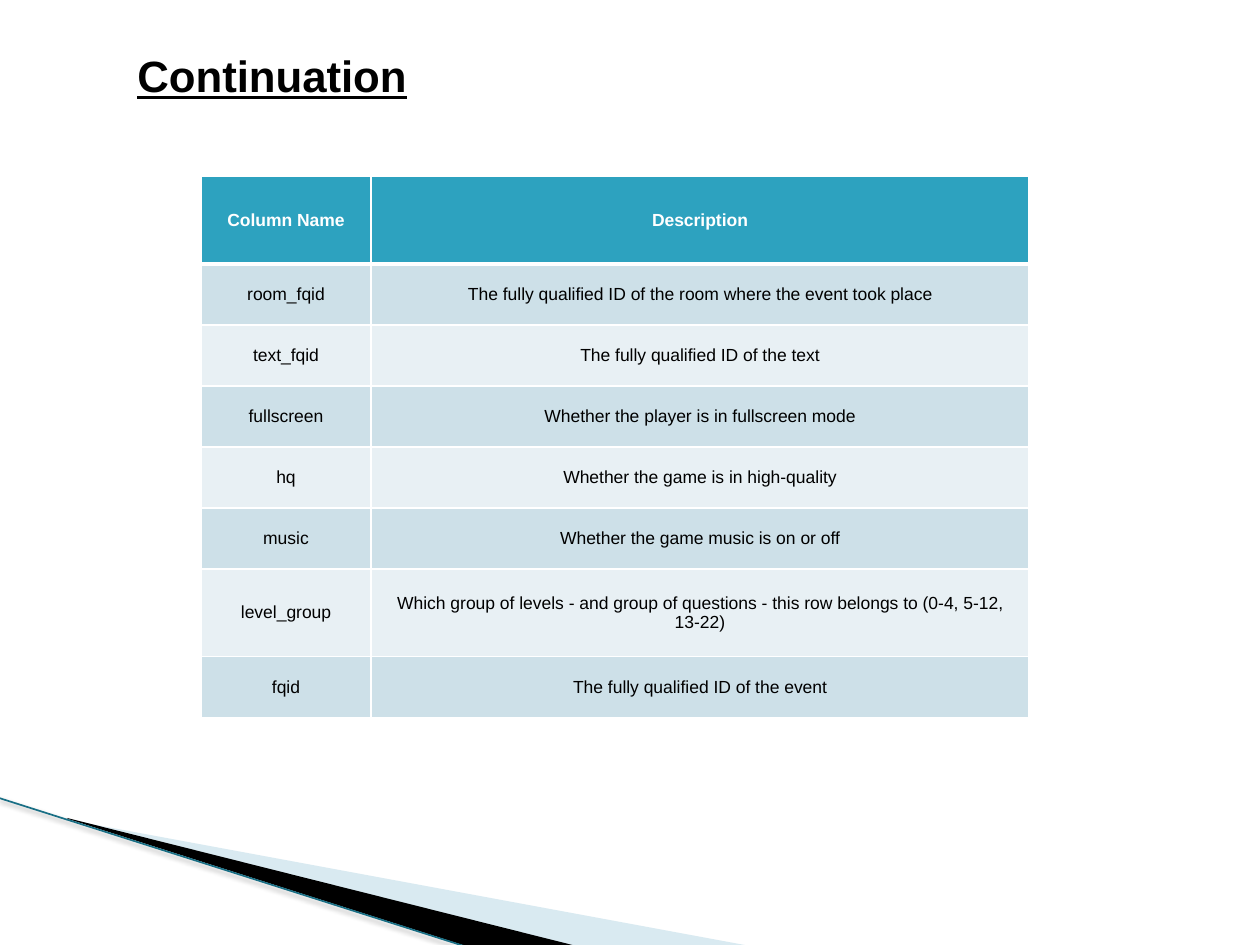
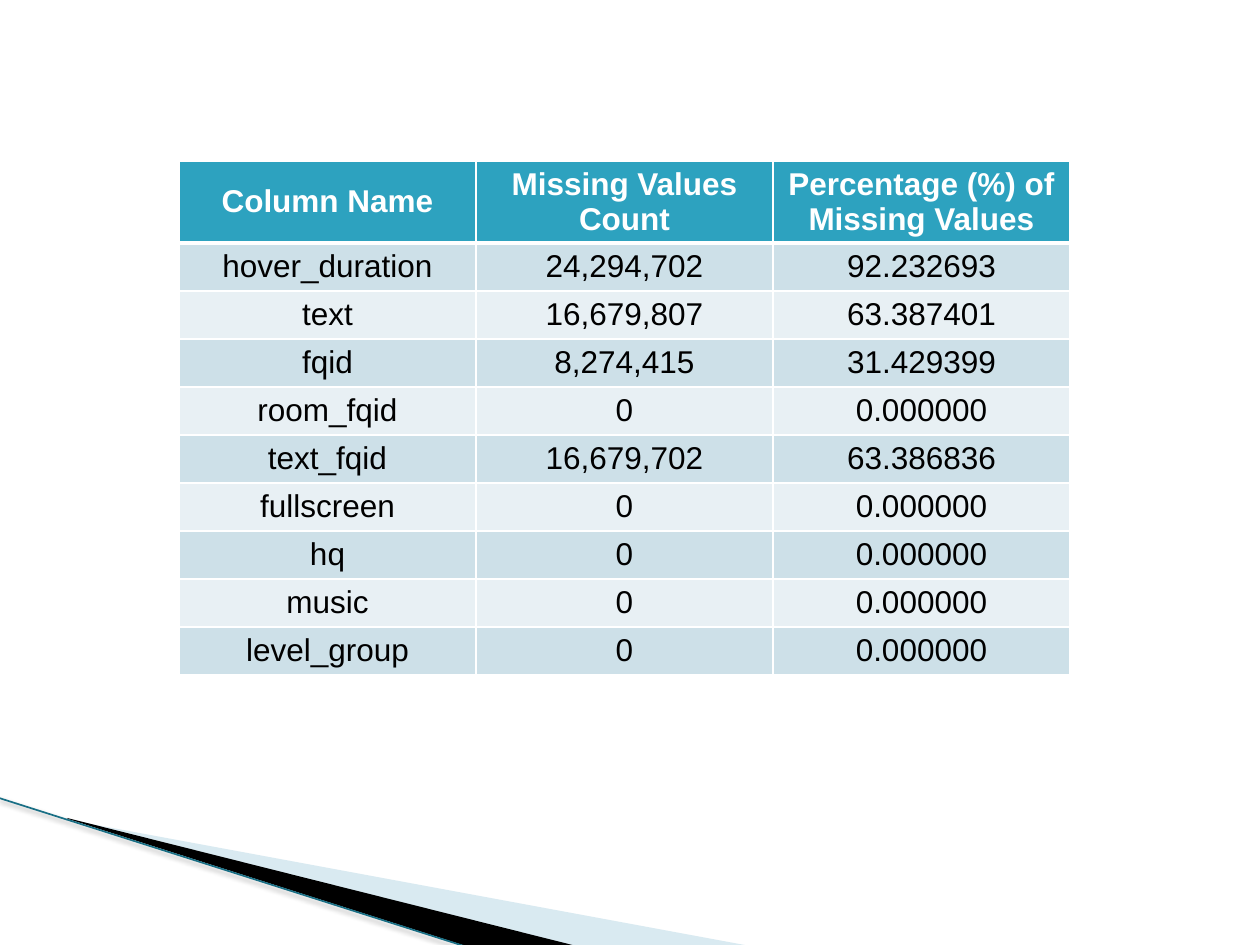
from dataclasses import dataclass

from lxml.etree import SubElement
from pptx import Presentation
from pptx.dml.color import RGBColor
from pptx.enum.shapes import MSO_CONNECTOR as CONN
from pptx.enum.text import MSO_ANCHOR as ANCHOR, PP_ALIGN as ALIGN
from pptx.oxml.ns import qn
from pptx.util import Emu, Pt

# Content
TITLE = "Continuation"
DESCRIPTIONS = [
    ("Column Name", "Description"),
    ("room_fqid", "The fully qualified ID of the room where the event took place"),
    ("text_fqid", "The fully qualified ID of the text"),
    ("fullscreen", "Whether the player is in fullscreen mode"),
    ("hq", "Whether the game is in high-quality"),
    ("music", "Whether the game music is on or off"),
    ("level_group", "Which group of levels - and group of questions - "
                    "this row belongs to (0-4, 5-12, 13-22)"),
    ("fqid", "The fully qualified ID of the event"),
]
MISSING = [
    ("Column Name", "Missing Values Count", "Percentage (%) of Missing Values"),
    ("hover_duration", "24,294,702", "92.232693"),
    ("text", "16,679,807", "63.387401"),
    ("fqid", "8,274,415", "31.429399"),
    ("room_fqid", "0", "0.000000"),
    ("text_fqid", "16,679,702", "63.386836"),
    ("fullscreen", "0", "0.000000"),
    ("hq", "0", "0.000000"),
    ("music", "0", "0.000000"),
    ("level_group", "0", "0.000000"),
]


@dataclass(frozen=True)
class Theme:
    font: str = "Arial"
    title_size: int = 25
    text_size: int = 10
    figure_size: int = 18
    ink: str = "000000"
    paper: str = "FFFFFF"
    header: str = "2DA2BF"
    bands: tuple = ("E8F0F4", "CDE0E8")
    wedge: str = "A0CBDC"
    edge: str = "196F85"


T = Theme()

# Geometry in px, 126 to the inch
SCALE = 914400 / 126
WEDGES = [
    (T.wedge, 40, [(69, 820), (750, 946), (575, 946), (69, 819)]),
    (T.ink, 100, [(67, 818), (576, 946), (469, 947), (68, 819)]),
]
EDGE = (-1, 798, 467, 947)


def px(n):
    return Emu(round(n * SCALE))


def rgb(color):
    return RGBColor.from_string(color)


def add_color(parent, color, alpha=None):
    clr = SubElement(parent, qn("a:srgbClr"), val=color)
    if alpha is not None:
        SubElement(clr, qn("a:alpha"), val=str(alpha * 1000))


def add_run(p, text, size, color, bold=False, underline=False):
    r = p.add_run()
    r.text = text
    f = r.font
    f.name, f.size, f.bold, f.underline = T.font, Pt(size), bold, underline
    f.color.rgb = rgb(color)


def add_corner(slide):
    """Wedges and shaded edge in the lower left corner."""
    for color, alpha, points in WEDGES:
        fb = slide.shapes.build_freeform(*points[0], scale=SCALE)
        fb.add_line_segments(points[1:], close=True)
        sp = fb.convert_to_shape()
        sp.shadow.inherit = False
        sp.fill.solid()
        sp.fill.fore_color.rgb = rgb(color)
        sp.line.fill.background()
        if alpha < 100:
            clr = sp.fill._xPr.find(qn("a:solidFill"))[0]
            SubElement(clr, qn("a:alpha"), val=str(alpha * 1000))
    edge = slide.shapes.add_connector(CONN.STRAIGHT, *map(px, EDGE))
    edge.line.color.rgb = rgb(T.edge)
    edge.line.width = Pt(0.96)
    effects = SubElement(edge._element.spPr, qn("a:effectLst"))
    shadow = SubElement(effects, qn("a:outerShdw"), blurRad=str(Pt(3.1)),
                        dist=str(Pt(1.6)), dir="5400000", rotWithShape="0")
    add_color(shadow, T.ink, 38)


def add_title(slide, text):
    box = slide.shapes.add_textbox(px(125), px(43), px(348), px(65))
    tf = box.text_frame
    tf.word_wrap = True
    add_run(tf.paragraphs[0], text, T.title_size, T.ink, bold=True, underline=True)


def set_borders(cell, widths):
    tc_pr = cell._tc.get_or_add_tcPr()
    for side, width in widths.items():
        ln = SubElement(tc_pr, qn(f"a:ln{side}"), w=str(Pt(width)))
        add_color(SubElement(ln, qn("a:solidFill")), T.paper)


def add_grid(slide, rows, left, top, widths, heights, size, pad):
    """Centred table with a dark header row and alternating bands."""
    frame = slide.shapes.add_table(len(rows), len(widths), px(left), px(top),
                                   px(sum(widths)), px(sum(heights)))
    table = frame.table
    table.first_row = table.horz_banding = False
    for col, width in zip(table.columns, widths):
        col.width = px(width)
    for i, (row, height) in enumerate(zip(rows, heights)):
        table.rows[i].height = px(height)
        head = i == 0
        for j, text in enumerate(row):
            cell = table.cell(i, j)
            set_borders(cell, {"L": 1, "R": 1, "T": 3 if i == 1 else 1,
                               "B": 3 if head else 1})
            cell.fill.solid()
            cell.fill.fore_color.rgb = rgb(T.header if head else T.bands[i % 2])
            cell.vertical_anchor = ANCHOR.MIDDLE
            cell.margin_top = cell.margin_bottom = px(pad)
            p = cell.text_frame.paragraphs[0]
            p.alignment = ALIGN.CENTER
            add_run(p, text, size, T.paper if head else T.ink, bold=head)


def main():
    prs = Presentation()
    prs.slide_width, prs.slide_height = px(1260), px(945)
    describe, missing = (prs.slides.add_slide(prs.slide_layouts[6]) for _ in range(2))

    # Column descriptions; the header and the two-line row are taller
    add_corner(describe)
    heights = [88 if name in ("Column Name", "level_group") else 61
               for name, _ in DESCRIPTIONS]
    add_grid(describe, DESCRIPTIONS, 201, 176, [170, 658], heights, T.text_size, 6)
    add_title(describe, TITLE)

    # Missing values
    add_corner(missing)
    heights = [82] + [48] * (len(MISSING) - 1)
    add_grid(missing, MISSING, 179, 161, [297] * 3, heights, T.figure_size, 4)

    prs.save("out.pptx")


if __name__ == "__main__":
    main()
